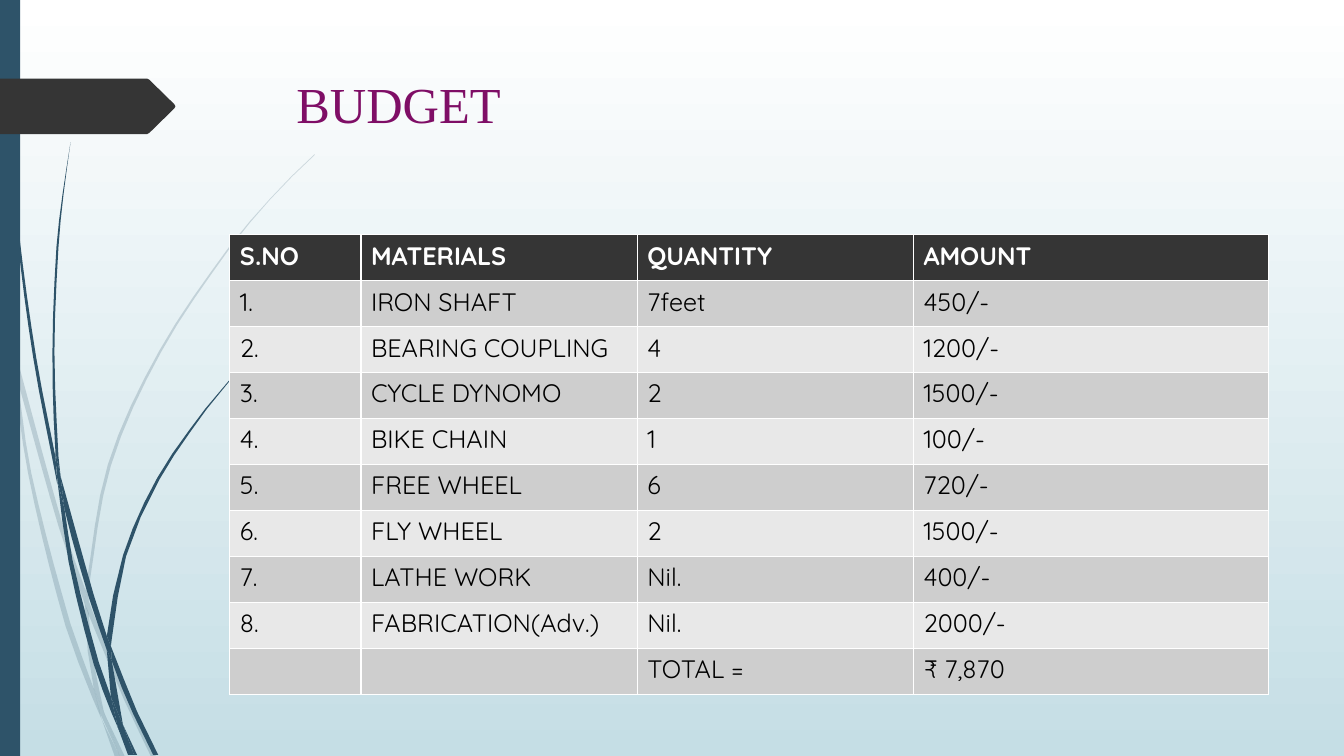
import math

import lxml.etree
import pptx
import pptx.dml.color
import pptx.enum.shapes
import pptx.oxml.ns
import pptx.util

Inches = pptx.util.Inches
qn = pptx.oxml.ns.qn

BLUE, CHARCOAL, PURPLE, WHITE, BLACK = "2E5369", "353535", "7F0E66", "FFFFFF", "000000"
BANDS = ["E8E8E8", "CECECE"]
STEPS_PER_INCH = 3
COLUMN_WIDTHS = [1.3, 2.74, 2.74, 3.52]
BUDGET_ROWS = [
    ["S.NO", "MATERIALS", "QUANTITY", "AMOUNT"],
    ["1.", "IRON SHAFT", "7feet", "450/-"],
    ["2.", "BEARING COUPLING", "4", "1200/-"],
    ["3.", "CYCLE DYNOMO", "2", "1500/-"],
    ["4.", "BIKE CHAIN", "1", "100/-"],
    ["5.", "FREE WHEEL", "6", "720/-"],
    ["6.", "FLY WHEEL", "2", "1500/-"],
    ["7.", "LATHE WORK", "Nil.", "400/-"],
    ["8.", "FABRICATION(Adv.)", "Nil.", "2000/-"],
    ["", "", "TOTAL =", "₹ 7,870"],
]
PALE_BLADES = [
    [[(0.11, 3.5), (0.09, 3.22), (0, 2.82)], [(0, 2.99), (0.1, 3.44)]],
    [[(0.14, 3.45), (0.62, 5.2), (0.85, 5.86)], [(0.84, 5.99), (0.58, 5.22), (0.17, 3.76)]],
    [[(0.88, 5.96), (0.92, 6.07), (1.27, 6.92), (1.55, 7.51)],
     [(1.5, 7.51), (1.23, 6.94), (0.88, 6.1)]],
    [[(1.05, 7.11), (1.24, 7.51)], [(1.19, 7.51)]],
    [[(0.11, 3.5), (0.17, 3.76), (0.31, 4.69), (0.7, 6.19), (0.93, 6.83), (1.01, 7.14)],
     [(0.92, 6.93), (0.65, 6.21), (0.28, 4.7), (0.11, 3.5)]],
    [[(0.84, 5.99), (0.87, 6.46), (0.93, 6.83), (1.05, 7.11)],
     [(1.03, 7.06), (0.91, 6.46), (0.88, 6.08)]],
    [[(0.88, 5.96), (0.88, 5.84), (1.1, 4.62), (1.6, 3.49), (2.29, 2.45), (2.68, 1.98),
      (2.9, 1.75), (3.12, 1.54)],
     [(3.12, 1.53), (2.89, 1.75), (2.68, 1.97), (2.28, 2.44), (1.58, 3.48), (1.07, 4.61),
      (0.85, 5.84), (0.85, 5.86)]],
    [[(1.01, 7.14), (1.14, 7.51)], [(1.19, 7.51)]],
    [[(0.88, 6.1), (0.88, 5.96)], [(0.85, 5.86), (0.84, 5.99)]],
    [[(0.93, 6.83), (0.99, 7.07), (1.19, 7.51)], [(1.05, 7.11), (0.93, 6.83)]],
]
DARK_BLADES = [
    [[(0.03, 0), (0.04, 0.48), (0.07, 1.1), (0.17, 2.33), (0.33, 3.55), (0.57, 4.81)],
     [(0.55, 4.53), (0.36, 3.55), (0.19, 2.32), (0.08, 1.09), (0.05, 0.48), (0.04, 0)]],
    [[(0.6, 4.72), (0.64, 5.05), (0.88, 5.92), (1.06, 6.45)],
     [(1.06, 6.31), (0.93, 5.9), (0.6, 4.72)]],
    [[(1.1, 6.41), (1.11, 6.56), (1.32, 7.08), (1.52, 7.49)],
     [(1.57, 7.49), (1.36, 7.06), (1.1, 6.41)]],
    [[(0.57, 4.77), (0.68, 5.57), (0.93, 6.59), (1.11, 7.08), (1.17, 7.22)],
     [(1.1, 6.91), (0.98, 6.57), (0.72, 5.56), (0.64, 5.05), (0.57, 4.77)]],
    [[(0.6, 4.72), (0.58, 4.53), (0.54, 3.49), (0.58, 2.45), (0.63, 1.93), (0.7, 1.41)],
     [(0.7, 1.41), (0.62, 1.93), (0.56, 2.45), (0.52, 3.49), (0.55, 4.49), (0.6, 4.72)]],
    [[(1.22, 7.19), (1.33, 7.49)], [(1.36, 7.49)]],
    [[(0.57, 4.77), (0.64, 5.05)], [(0.6, 4.72), (0.55, 4.49), (0.55, 4.53)]],
    [[(1.11, 6.33), (1.25, 5.52), (1.58, 4.76), (2.05, 4.06), (2.31, 3.74), (2.61, 3.44)],
     [(2.6, 3.44), (2.31, 3.73), (2.04, 4.05), (1.56, 4.74), (1.22, 5.51), (1.06, 6.31),
      (1.1, 6.41)]],
    [[(1.17, 7.22), (1.27, 7.49)], [(1.31, 7.49)]],
    [[(1.06, 6.45), (1.1, 6.91), (1.22, 7.19)], [(1.11, 6.56), (1.06, 6.45)]],
    [[(1.06, 6.45), (1.11, 6.56)], [(1.1, 6.41), (1.06, 6.31)]],
    [[(1.1, 6.91), (1.17, 7.22), (1.3, 7.49)], [(1.33, 7.49), (1.22, 7.19), (1.1, 6.91)]],
]


def color(value):
    return pptx.dml.color.RGBColor.from_string(value)


def paint(shape, value, opacity=100):
    shape.shadow.inherit = False
    shape.fill.solid()
    shape.fill.fore_color.rgb = color(value)
    shape.line.fill.background()
    if opacity < 100:
        swatch = shape.element.spPr.find(f".//{qn('a:srgbClr')}")
        lxml.etree.SubElement(swatch, qn("a:alpha"), val=str(opacity * 1000))


def write(para, text, ink, formats):
    span = para.add_run()
    span.text = text
    span.font.color.rgb = color(ink)
    for name, value in formats.items():
        setattr(span.font, name, value)


def smooth(side):
    last = len(side) - 1
    if last == 0:
        return side
    slopes = []
    for i in range(len(side)):
        (x0, y0), (x1, y1) = side[max(i - 1, 0)], side[min(i + 1, last)]
        length = math.dist((x0, y0), (x1, y1))
        slopes.append(((x1 - x0) / length, (y1 - y0) / length))
    points = [side[0]]
    for i in range(last):
        reach = math.dist(side[i], side[i + 1])
        steps = max(1, round(reach * STEPS_PER_INCH))
        for step in range(1, steps + 1):
            t = step / steps
            ease = t * t * (3 - 2 * t)
            leave, arrive = t * (1 - t) ** 2 * reach, t * t * (t - 1) * reach
            points.append(tuple(
                a + (b - a) * ease + m * leave + n * arrive
                for a, b, m, n in zip(side[i], side[i + 1], slopes[i], slopes[i + 1])))
    return points


def add_outline(page, left, top, points, value, opacity=100):
    corners = [(Inches(left + x), Inches(top + y)) for x, y in points]
    builder = page.shapes.build_freeform(*corners[0], scale=1)
    builder.add_line_segments(corners[1:], close=True)
    paint(builder.convert_to_shape(), value, opacity)


def add_backdrop(page, left, top, width, height):
    fill = page.background.fill
    fill.gradient()
    fill.gradient_angle = 270
    for stop, value in zip(fill.gradient_stops, [WHITE, "C5DEE5"]):
        stop.color.rgb = color(value)
    for blades, opacity in [(PALE_BLADES, 20), (DARK_BLADES, 100)]:
        for blade in blades:
            points = [point for side in blade for point in smooth(side)]
            add_outline(page, left, top, points, BLUE, opacity)
    stripe = page.shapes.add_shape(
        pptx.enum.shapes.MSO_SHAPE.RECTANGLE,
        Inches(left), Inches(top), Inches(width), Inches(height))
    paint(stripe, BLUE)


def add_arrow_tab(page, left, top, width, height):
    nose, slant = width - 0.01, width - 0.26
    points = [(0, 0), (slant - 0.02, 0), (slant, 0.01), (nose, height / 2 - 0.02),
              (width, height / 2), (nose, height / 2 + 0.02), (slant, height - 0.01),
              (slant - 0.02, height), (0, height)]
    add_outline(page, left, top, points, CHARCOAL)


def add_title(page, left, top, width, height):
    box = page.shapes.add_textbox(Inches(left), Inches(top), Inches(width), Inches(height))
    box.text_frame.word_wrap = True
    write(box.text_frame.paragraphs[0], "BUDGET", PURPLE,
          {"size": pptx.util.Pt(36), "name": "Times New Roman"})


def add_budget_table(page, left, top, width, height):
    table = page.shapes.add_table(
        len(BUDGET_ROWS), len(COLUMN_WIDTHS),
        Inches(left), Inches(top), Inches(width), Inches(height)).table
    for column, column_width in zip(table.columns, COLUMN_WIDTHS):
        column.width = Inches(column_width)
    for r, texts in enumerate(BUDGET_ROWS):
        header = r == 0
        formats = {"size": pptx.util.Pt(18), "name": "Quicksand", "bold": header}
        for c, text in enumerate(texts):
            cell = table.cell(r, c)
            cell.fill.solid()
            cell.fill.fore_color.rgb = color(CHARCOAL if header else BANDS[r % 2])
            if text:
                write(cell.text_frame.paragraphs[0], text, WHITE if header else BLACK, formats)


def main():
    deck = pptx.Presentation()
    deck.slide_width, deck.slide_height = Inches(13.33), Inches(7.5)
    page = deck.slides.add_slide(deck.slide_layouts[6])
    add_backdrop(page, 0, 0, 0.2, 7.5)
    add_arrow_tab(page, 0, 0.78, 1.74, 0.55)
    add_title(page, 2.84, 0.68, 9.75, 1.4)
    add_budget_table(page, 2.28, 2.33, 10.3, 4.56)
    deck.save("out.pptx")


if __name__ == "__main__":
    main()
